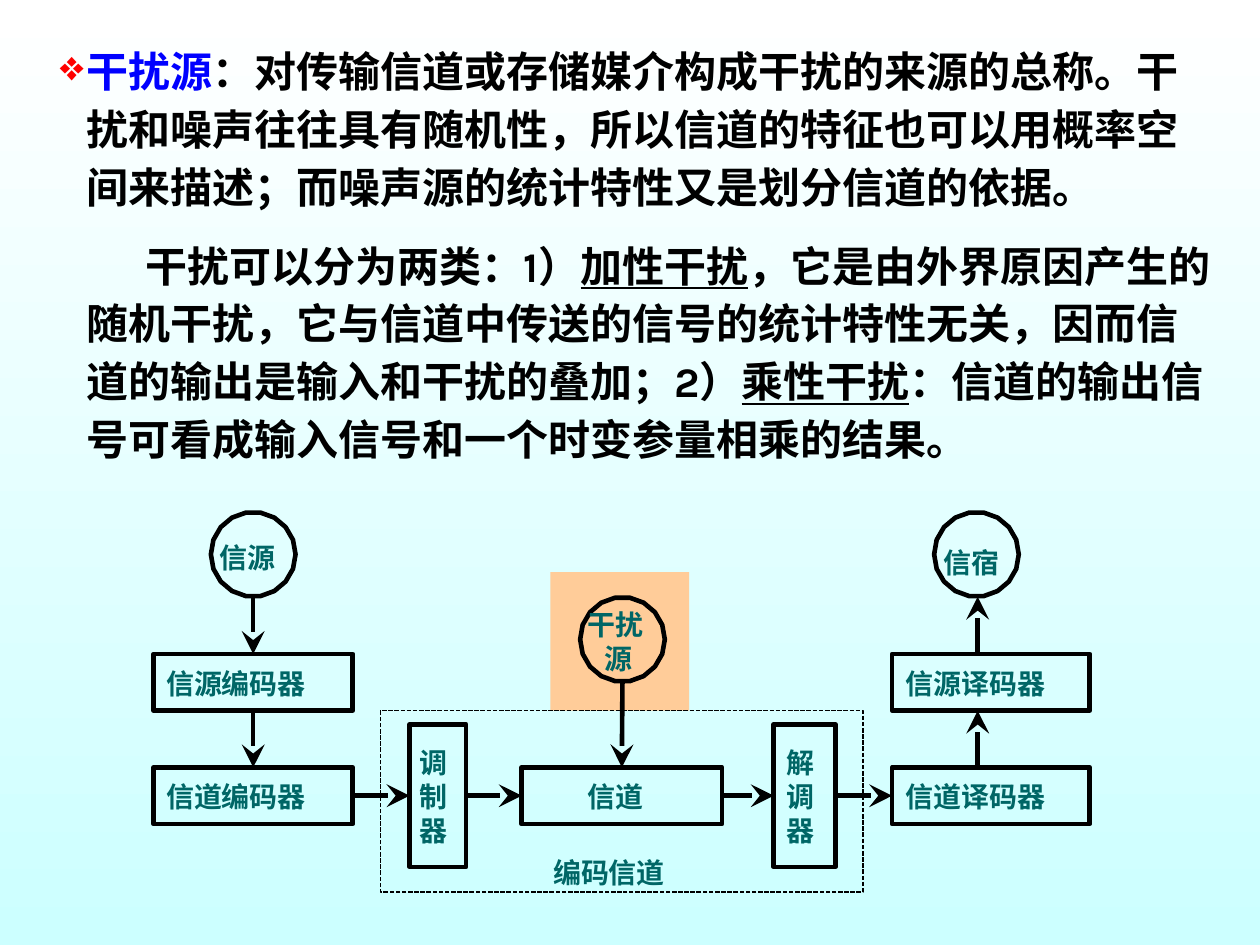
from math import cos, radians, sin

from lxml.etree import SubElement
from pptx import Presentation
from pptx.dml.color import RGBColor
from pptx.enum.dml import MSO_LINE_DASH_STYLE as Dash
from pptx.enum.shapes import MSO_CONNECTOR as Connector, MSO_SHAPE as Shape
from pptx.enum.text import MSO_AUTO_SIZE as AutoSize
from pptx.oxml.ns import qn
from pptx.util import Pt

BLACK, TEAL, BLUE, RED, PEACH = "000000", "006666", "0000FF", "FF0000", "FFCC99"
STROKE = 2.64
CHAR, ROW = 16, 19.4
TOP, LEFT, BOTTOM, RIGHT = range(4)


def color(code):
    return RGBColor.from_string(code)


def outline(shape, width=STROKE):
    shape.shadow.inherit = False
    shape.fill.background()
    shape.line.color.rgb = color(BLACK)
    shape.line.width = Pt(width)


def add_box(slide, x, y, w, h):
    box = slide.shapes.add_shape(Shape.RECTANGLE, Pt(x), Pt(y), Pt(w), Pt(h))
    outline(box)
    return box


def add_ring(slide, x, y, radius=24.2, sides=18):
    corners = [
        (Pt(x + radius * cos(radians(k * 360 / sides))),
         Pt(y + radius * sin(radians(k * 360 / sides))))
        for k in range(sides)
    ]
    builder = slide.shapes.build_freeform(*corners[0])
    builder.add_line_segments(corners[1:], close=True)
    outline(builder.convert_to_shape())


def add_label(slide, x, y, words):
    label = slide.shapes.add_textbox(Pt(x), Pt(y), Pt(CHAR * len(words)), Pt(ROW))
    frame = label.text_frame
    frame.margin_left = frame.margin_top = frame.margin_right = frame.margin_bottom = 0
    frame.word_wrap = False
    frame.auto_size = AutoSize.SHAPE_TO_FIT_TEXT
    paragraph = frame.paragraphs[0]
    paragraph.text = words
    font = paragraph.font
    font.name, font.size, font.bold = "Noto Sans CJK SC", Pt(CHAR), True
    font.color.rgb = color(TEAL)


def add_column(slide, x, y, words):
    for row, char in enumerate(words):
        add_label(slide, x, y + row * ROW, char)


def add_arrow(slide, start, end, source=None, target=None):
    arrow = slide.shapes.add_connector(Connector.STRAIGHT, *map(Pt, start + end))
    if source:
        arrow.begin_connect(*source)
    if target:
        arrow.end_connect(*target)
    arrow.line.color.rgb = color(BLACK)
    arrow.line.width = Pt(STROKE)
    SubElement(arrow.line._get_or_add_ln(), qn("a:tailEnd"),
               type="stealth", w="lg", len="lg")
    SubElement(arrow._element.spPr, qn("a:effectLst"))


def join(slide, source, target):
    add_arrow(slide, (0, 0), (0, 0), source, target)


def write_paragraph(paragraph, runs, indent, bullet=None):
    props = paragraph._p.get_or_add_pPr()
    props.set("marL", str(Pt(30)))
    props.set("indent", str(Pt(indent)))
    paragraph.line_spacing = 1.15
    if bullet:
        SubElement(SubElement(props, qn("a:buClr")), qn("a:srgbClr"), val=RED)
        SubElement(props, qn("a:buChar"), char=bullet)
    else:
        SubElement(props, qn("a:buNone"))
    font = paragraph.font
    font.name, font.size, font.bold = "Karla", Pt(24), True
    for words, ink, underlined in runs:
        run = paragraph.add_run()
        run.text = words
        run.font.color.rgb = color(ink)
        if underlined:
            run.font.underline = True


def add_explanation(slide):
    frame = slide.shapes.add_textbox(Pt(12.2), Pt(18), Pt(690), Pt(498)).text_frame
    frame.word_wrap = True
    write_paragraph(frame.paragraphs[0], [
        ("干扰源", BLUE, False),
        ("：对传输信道或存储媒介构成干扰的来源的总称。干扰和噪声往往具有随机性，"
         "所以信道的特征也可以用概率空间来描述；而噪声源的统计特性又是划分信道的依据。",
         BLACK, False),
    ], -15, "❖")
    kinds = frame.add_paragraph()
    kinds.space_before = Pt(12)
    write_paragraph(kinds, [
        ("干扰可以分为两类：1）", BLACK, False),
        ("加性干扰", BLACK, True),
        ("，它是由外界原因产生的随机干扰，它与信道中传送的信号的统计特性无关，"
         "因而信道的输出是输入和干扰的叠加；2）", BLACK, False),
        ("乘性干扰", BLACK, True),
        ("：信道的输出信号可看成输入信号和一个时变参量相乘的结果。", BLACK, False),
    ], 34)


def add_diagram(slide):
    coding_channel = add_box(slide, 217.4, 406.1, 275.8, 103.7)
    outline(coding_channel, 0.88)
    coding_channel.line.dash_style = Dash.SQUARE_DOT

    upper, lower, height = 373.7, 438.5, 32.4
    source_encoder = add_box(slide, 87.8, upper, 113.8, height)
    channel_encoder = add_box(slide, 87.8, lower, 113.8, height)
    modulator = add_box(slide, 234, 414, 32.4, 81.4)
    channel = add_box(slide, 298.1, lower, 114.5, height)
    demodulator = add_box(slide, 442.1, 414, 35.3, 81.4)
    source_decoder = add_box(slide, 509.8, upper, 113, height)
    channel_decoder = add_box(slide, 509.8, lower, 113, height)

    for x, y in [(144.7, 316.8), (558, 316.8), (355.7, 365.4)]:
        add_ring(slide, x, y)

    for x, y, words in [
        (125.3, 308.9, "信源"), (539.3, 311.8, "信宿"),
        (335.5, 347, "干扰"), (345.6, 366.5, "源"),
        (95, 380.9, "信源编码器"), (95, 445.7, "信道编码器"),
        (517.7, 380.9, "信源译码器"), (517.7, 445.7, "信道译码器"),
        (335.5, 445.7, "信道"), (316.1, 488.9, "编码信道"),
    ]:
        add_label(slide, x, y, words)
    add_column(slide, 239.8, 426.2, "调制器")
    add_column(slide, 449.3, 426.2, "解调器")

    add_arrow(slide, (144.7, 341), (144.7, upper), target=(source_encoder, TOP))
    join(slide, (source_encoder, BOTTOM), (channel_encoder, TOP))
    chain = [channel_encoder, modulator, channel, demodulator, channel_decoder]
    for left, right in zip(chain, chain[1:]):
        join(slide, (left, RIGHT), (right, LEFT))
    add_arrow(slide, (558.7, lower), (558.7, upper + height))
    add_arrow(slide, (558.7, upper), (558.7, 341))
    add_arrow(slide, (355.7, 389.6), (355.7, lower), target=(channel, TOP))


def main():
    deck = Presentation()
    deck.slide_width, deck.slide_height = Pt(720), Pt(540)
    slide = deck.slides.add_slide(deck.slide_layouts[6])
    backdrop = slide.background.fill
    backdrop.gradient()
    backdrop.gradient_angle = 270
    for stop, shade in zip(backdrop.gradient_stops, ("FFFFFF", "CCFFFF")):
        stop.color.rgb = color(shade)

    highlight = add_box(slide, 314.6, 326.9, 79.2, 79.2)
    highlight.fill.solid()
    highlight.fill.fore_color.rgb = color(PEACH)
    highlight.line.fill.background()
    add_explanation(slide)
    add_diagram(slide)
    deck.save("out.pptx")


if __name__ == "__main__":
    main()
